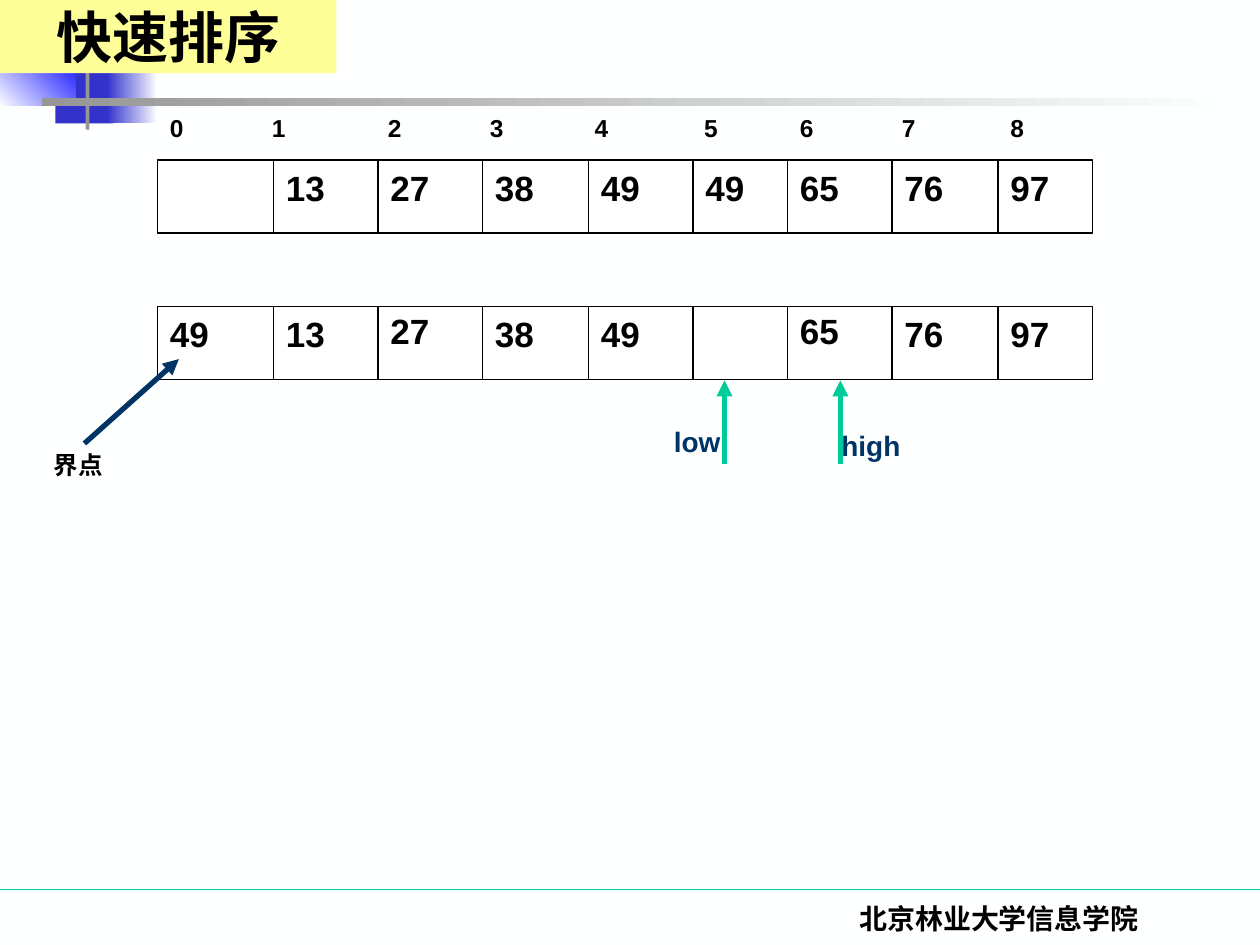
"""Build a slide showing two array states of a quicksort partition."""
from lxml.etree import SubElement
from pptx import Presentation
from pptx.dml.color import RGBColor
from pptx.enum.shapes import MSO_CONNECTOR as CONN, MSO_SHAPE as SHAPE
from pptx.enum.text import MSO_ANCHOR as ANCHOR, MSO_AUTO_SIZE as AUTO, PP_ALIGN as ALIGN
from pptx.oxml.ns import qn
from pptx.util import Inches, Pt

COLORS = {
    "paper": "FEFFFF", "white": "FFFFFF", "black": "000000", "navy": "003366",
    "indigo": "3333CC", "blue": "0000FF", "gray": "969696", "green": "00CC99",
    "yellow": "FFFF99",
}
DECOR = [
    ((0.31, 0, 0.48, 0.52), ("navy",), 0),
    ((0.72, 0, 0.36, 0.52), ("navy", "paper"), 0),
    ((0.44, 0.46, 0.46, 0.52), ("indigo",), 0),
    ((0.85, 0.46, 0.4, 0.52), ("indigo", "paper"), 0),
    ((-0.01, 0.38, 0.61, 0.46), ("paper", "blue"), 45),
    ((0.68, -0.12, 0.03, 1.15), ("gray",), 0),
    ((0.33, 0.78, 9.51, 0.06), ("gray", "paper"), 0),
]
EDGES = [1.25, 2.17, 3, 3.83, 4.67, 5.5, 6.25, 7.08, 7.92, 8.67]
ROW_HEIGHT = 0.58
ARRAYS = [
    (1.27, ["", "13", "27", "38", "49", "49", "65", "76", "97"], ()),
    (2.43, ["49", "13", "27", "38", "49", "", "65", "76", "97"], (2, 6)),
]
INDEX_TABS = [0.81, 1.73, 2.54, 3.37, 4.24, 5, 5.81, 6.67]
POINTERS = [("high", 6.67, (6.58, 3.35)), ("low", 5.75, (5.25, 3.32))]


def rgb(name):
    return RGBColor.from_string(COLORS[name])


def add_rect(s, box, fills, angle=0, line=None):
    sp = s.shapes.add_shape(SHAPE.RECTANGLE, *map(Inches, box))
    sp.shadow.inherit = False
    if len(fills) == 1:
        sp.fill.solid()
        sp.fill.fore_color.rgb = rgb(fills[0])
    else:
        sp.fill.gradient()
        sp.fill.gradient_angle = angle
        for stop, name in zip(sp.fill.gradient_stops, fills):
            stop.color.rgb = rgb(name)
    if line:
        sp.line.color.rgb = rgb(line)
        sp.line.width = Pt(0.75)
    else:
        sp.line.fill.background()
    return sp


def add_line(s, start, end, color, width=0.75, arrow=False):
    cx = s.shapes.add_connector(CONN.STRAIGHT, *map(Inches, (*start, *end)))
    cx.line.color.rgb = rgb(color)
    cx.line.width = Pt(width)
    if arrow:
        SubElement(cx.line._get_or_add_ln(), qn("a:tailEnd"), type="triangle")
    SubElement(cx._element.spPr, qn("a:effectLst"))


def write(sp, text, size, color="black", font="Arial", align=ALIGN.LEFT, tabs=()):
    tf = sp.text_frame
    tf.word_wrap = True
    p = tf.paragraphs[0]
    p.alignment = align
    if tabs:
        tab_list = SubElement(p._p.get_or_add_pPr(), qn("a:tabLst"))
        for pos in tabs:
            SubElement(tab_list, qn("a:tab"), pos=str(Inches(pos)), algn="l")
    r = p.add_run()
    r.text = text
    r.font.size, r.font.name, r.font.bold = Pt(size), font, True
    r.font.color.rgb = rgb(color)


def add_label(s, box, text, size, grow=True, **style):
    sp = s.shapes.add_textbox(*map(Inches, box))
    write(sp, text, size, **style)
    if grow:
        sp.text_frame.auto_size = AUTO.SHAPE_TO_FIT_TEXT


def add_array(s, top, values, raised):
    left, right = EDGES[0], EDGES[-1]
    add_rect(s, (left, top, right - left, ROW_HEIGHT), ("white",), line="black")
    for x in EDGES[1:-1]:
        add_line(s, (x, top), (x, top + ROW_HEIGHT), "black")
    for i, value in enumerate(values):
        if value:
            y = top - 0.02 if i in raised else top
            add_label(s, (EDGES[i], y, 0.67, 0.44), value, 20)


def main():
    prs = Presentation()
    prs.slide_width, prs.slide_height = Inches(10), Inches(7.5)
    s = prs.slides.add_slide(prs.slide_layouts[6])
    s.background.fill.solid()
    s.background.fill.fore_color.rgb = rgb("paper")

    add_line(s, (0, 7.06), (10, 7.06), "green")
    for box, fills, angle in DECOR:
        add_rect(s, box, fills, angle)
    add_label(s, (5.86, 7.11, 4.14, 0.5), "北京林业大学信息学院", 16, grow=False,
              font="Times New Roman", align=ALIGN.CENTER)

    for array in ARRAYS:
        add_array(s, *array)
    add_label(s, (1.25, 0.85, 7.42, 0.34), "\t".join(map(str, range(9))), 14,
              tabs=INDEX_TABS)

    for name, x, (left, top) in POINTERS:
        add_line(s, (x, 3.68), (x, 3.02), "green", 3, arrow=True)
        add_label(s, (left, top, 0.92, 0.37), name, 16, color="navy")
    add_label(s, (0.33, 3.52, 0.83, 0.34), "界点", 14)
    add_line(s, (0.67, 3.52), (1.42, 2.85), "navy", 3, arrow=True)

    title = add_rect(s, (0, 0, 2.67, 0.58), ("yellow",))
    title.text_frame.vertical_anchor = ANCHOR.MIDDLE
    write(title, "快速排序", 32, font="Times New Roman", align=ALIGN.CENTER)
    prs.save("out.pptx")


if __name__ == "__main__":
    main()
